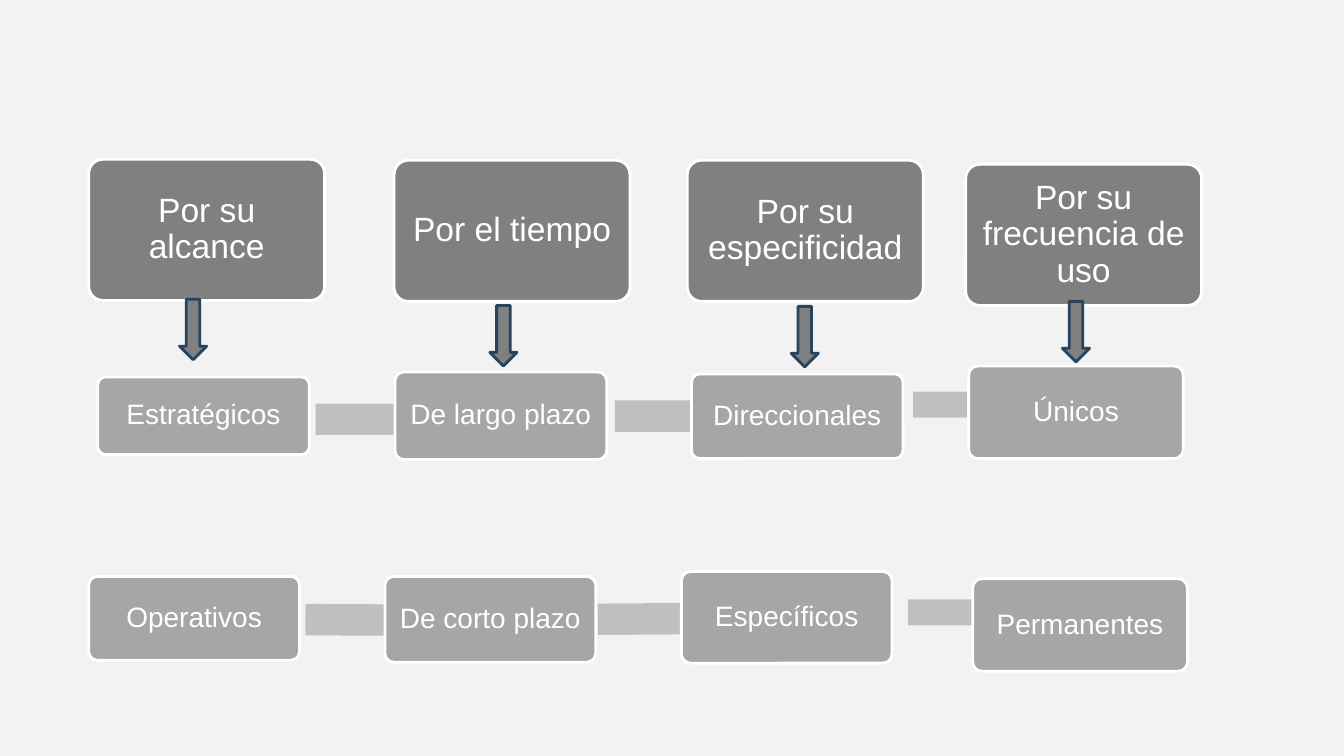
import pptx
import pptx.util
import pptx.dml.color
import pptx.enum.shapes
import pptx.enum.text

Pt = pptx.util.Pt
RGBColor = pptx.dml.color.RGBColor
SHAPES = pptx.enum.shapes.MSO_SHAPE

BACKGROUND = RGBColor(0xF2, 0xF2, 0xF2)
WHITE = RGBColor(0xFF, 0xFF, 0xFF)
DARK_GREY = RGBColor(0x80, 0x80, 0x80)
MID_GREY = RGBColor(0xA6, 0xA6, 0xA6)
LIGHT_GREY = RGBColor(0xBF, 0xBF, 0xBF)
NAVY = RGBColor(0x28, 0x44, 0x5D)

HEADER_SIZE = (168.5, 100.8)
DOWN_ARROW_SIZE = (19.4, 43.2)

headers = [
    ("Por su alcance", 63.4, 113.8),
    ("Por el tiempo", 281.5, 114.5),
    ("Por su especificidad", 491, 114.5),
    ("Por su frecuencia de uso", 689.8, 117.4),
]
plan_types = [
    ("Estratégicos", 69.8, 269.3, 151.2, 55.4),
    ("De largo plazo", 282.2, 265.7, 151.2, 62.6),
    ("Direccionales", 493.9, 267.1, 151.2, 60.5),
    ("Únicos", 691.9, 261.4, 153.4, 66.2),
    ("Operativos", 63.4, 411.8, 150.5, 59.8),
    ("De corto plazo", 275, 411.8, 150.5, 61.2),
    ("Específicos", 486.7, 408.2, 150.5, 65.5),
    ("Permanentes", 694.8, 413.3, 153.4, 66.2),
]
links = [
    (225.4, 280.8, 87.8, 37.4, 0),
    (439.2, 278.6, 94.3, 37.4, 0),
    (652.3, 273.6, 65.5, 31, 0),
    (218.2, 424.1, 77.8, 37.4, 0.3),
    (427, 423.4, 79.2, 37.4, 359.6),
    (648.7, 421.9, 77, 31, 0),
]
down_arrows = [(128.2, 213.8), (349.9, 218.2), (565.2, 218.9), (758.9, 215.3)]


def add_block(slide, kind, box, fill, line=None):
    shape = slide.shapes.add_shape(kind, *[Pt(value) for value in box])
    shape.shadow.inherit = False
    shape.fill.solid()
    shape.fill.fore_color.rgb = fill
    if line is None:
        shape.line.fill.background()
    else:
        shape.line.color.rgb = line
        shape.line.width = Pt(2)
    return shape


def add_card(slide, text, box, fill, size, inset):
    shape = add_block(slide, SHAPES.ROUNDED_RECTANGLE, box, fill, WHITE)
    shape.adjustments[0] = 0.1
    frame = shape.text_frame
    frame_format = {
        "word_wrap": True,
        "vertical_anchor": pptx.enum.text.MSO_ANCHOR.MIDDLE,
    }
    for side in ("left", "top", "right", "bottom"):
        frame_format["margin_" + side] = Pt(inset)
    for name, value in frame_format.items():
        setattr(frame, name, value)
    paragraph = frame.paragraphs[0]
    paragraph.alignment = pptx.enum.text.PP_ALIGN.CENTER
    paragraph.line_spacing = 0.9
    run = paragraph.add_run()
    run.text = text
    for name, value in {"name": "Arial", "size": Pt(size)}.items():
        setattr(run.font, name, value)
    run.font.color.rgb = WHITE


def main():
    presentation = pptx.Presentation()
    presentation.slide_width = Pt(960)
    presentation.slide_height = Pt(540)
    slide = presentation.slides.add_slide(presentation.slide_layouts[6])
    slide.background.fill.solid()
    slide.background.fill.fore_color.rgb = BACKGROUND

    for *box, rotation in links:
        link = add_block(slide, SHAPES.RIGHT_ARROW, box, LIGHT_GREY)
        link.adjustments[0] = 0.6
        link.rotation = rotation
    for text, *box in plan_types:
        add_card(slide, text, box, MID_GREY, 20, 5.8)
    for text, *corner in headers:
        add_card(slide, text, (*corner, *HEADER_SIZE), DARK_GREY, 24, 7.2)
    for corner in down_arrows:
        add_block(slide, SHAPES.DOWN_ARROW, (*corner, *DOWN_ARROW_SIZE), DARK_GREY, NAVY)

    presentation.save("out.pptx")


if __name__ == "__main__":
    main()
